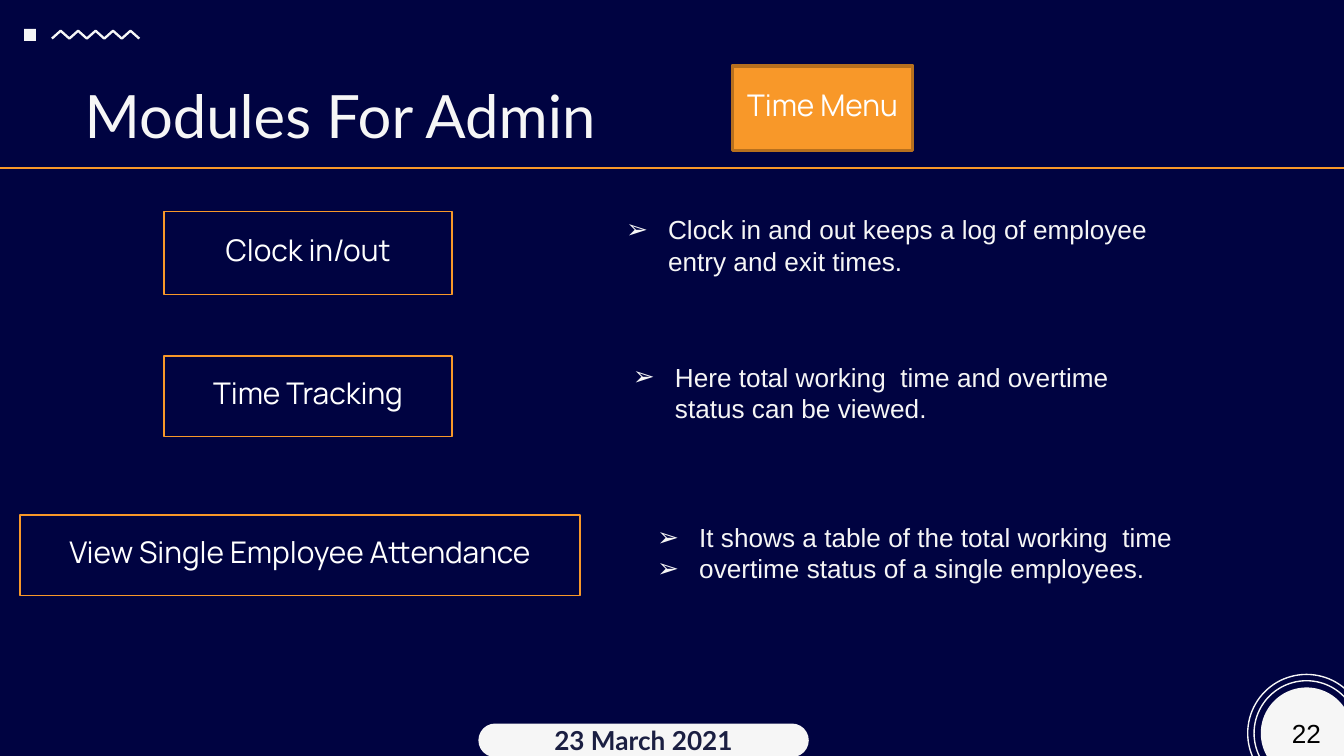
"""Build the time menu slide of the admin modules."""
import pptx
import pptx.dml.color
import pptx.enum.shapes
import pptx.enum.text
import pptx.oxml
import pptx.oxml.ns
import pptx.util

Pt = pptx.util.Pt
SHAPE = pptx.enum.shapes.MSO_SHAPE
ALIGN = pptx.enum.text.PP_ALIGN
ANCHOR = pptx.enum.text.MSO_ANCHOR
NS = pptx.oxml.ns.nsdecls("a")

NAVY, ORANGE, BROWN = "000341", "F89829", "B7701E"
PALE, WHITE, BLACK, INK = "F6F6F6", "FFFFFF", "000000", "1B1F42"


def rgb(color):
    return pptx.dml.color.RGBColor.from_string(color)


class SlideBuilder:
    def __init__(self, prs):
        self.slide = prs.slides.add_slide(prs.slide_layouts[6])
        self.shapes = self.slide.shapes
        fill = self.slide.background.fill
        fill.solid()
        fill.fore_color.rgb = rgb(NAVY)

    def paint(self, sp, fill=None, line=None, width=0.75):
        sp.shadow.inherit = False
        if fill:
            sp.fill.solid()
            sp.fill.fore_color.rgb = rgb(fill)
        else:
            sp.fill.background()
        if line:
            sp.line.color.rgb = rgb(line)
            sp.line.width = Pt(width)
        else:
            sp.line.fill.background()

    def run(self, p, text, size, font, color, bold=False):
        r = p.add_run()
        r.text = text
        r.font.size = Pt(size)
        r.font.name = font
        r.font.bold = bold
        r.font.color.rgb = rgb(color)

    def shape(self, kind, box, fill=None, line=None, width=0.75):
        sp = self.shapes.add_shape(kind, *map(Pt, box))
        self.paint(sp, fill, line, width)
        return sp

    def label(self, sp, text, size, font, color, bold=False, spacing=1.0, inset=7.2):
        tf = sp.text_frame
        tf.word_wrap = True
        tf.vertical_anchor = ANCHOR.MIDDLE
        tf.margin_left = tf.margin_right = Pt(inset)
        tf.margin_top = tf.margin_bottom = Pt(inset)
        p = tf.paragraphs[0]
        p.alignment = ALIGN.CENTER
        p.line_spacing = spacing
        self.run(p, text, size, font, color, bold)

    def module(self, text, box, fill=None, line=ORANGE, width=0.75):
        sp = self.shape(SHAPE.RECTANGLE, box, fill, line, width)
        self.label(sp, text, 16, "Manrope", WHITE, spacing=0.8)

    def title(self, text, box):
        tf = self.shapes.add_textbox(*map(Pt, box)).text_frame
        tf.word_wrap = True
        tf.margin_top = Pt(7.2)
        self.run(tf.paragraphs[0], text, 32, "Lato", PALE)

    def bullets(self, items, box):
        tf = self.shapes.add_textbox(*map(Pt, box)).text_frame
        tf.word_wrap = True
        for i, text in enumerate(items):
            p = tf.add_paragraph() if i else tf.paragraphs[0]
            self.run(p, text, 14, "Arial", PALE)
            pPr = p._p.get_or_add_pPr()
            pPr.set("marL", str(Pt(22.5)))
            pPr.set("indent", str(-Pt(22.5)))
            for xml in (
                f'<a:buClr {NS}><a:srgbClr val="{PALE}"/></a:buClr>',
                f'<a:buFont {NS} typeface="Arial"/>',
                f'<a:buChar {NS} char="➢"/>',
            ):
                pPr.append(pptx.oxml.parse_xml(xml))

    def rule(self, x1, x2, y):
        line = self.shapes.add_connector(
            pptx.enum.shapes.MSO_CONNECTOR.STRAIGHT, Pt(x1), Pt(y), Pt(x2), Pt(y)
        )
        line.line.color.rgb = rgb(ORANGE)
        line.line.width = Pt(1.5)
        line._element.spPr.append(pptx.oxml.parse_xml(f"<a:effectLst {NS}/>"))

    def zigzag(self, left, step, count, low, high):
        points = [(Pt(left + i * step), Pt(high if i % 2 else low)) for i in range(count)]
        builder = self.shapes.build_freeform(*points[0])
        builder.add_line_segments(points[1:], close=False)
        self.paint(builder.convert_to_shape(), line=PALE, width=1.25)

    def circle(self, cx, cy, size, fill=None, line=None):
        box = (cx - size / 2, cy - size / 2, size, size)
        return self.shape(SHAPE.OVAL, box, fill, line, 0.75)


def main():
    prs = pptx.Presentation()
    prs.slide_width, prs.slide_height = Pt(720), Pt(405)
    s = SlideBuilder(prs)

    s.shape(SHAPE.RECTANGLE, (12.9, 15.5, 6.4, 6.4), PALE)
    s.zigzag(left=27.8, step=4.68, count=11, low=20.7, high=16.5)
    s.rule(0, 720, 90)
    s.title("Modules For Admin", (38.2, 35.3, 343.4, 45.4))
    s.module("Time Menu", (392.4, 35.3, 96.5, 45.4), ORANGE, BROWN, 2)

    rows = [
        ("Clock in/out", (87.9, 113.2, 154.3, 44.6), (328.3, 110.9),
         ["Clock in and out keeps a log of employee entry and exit times."]),
        ("Time Tracking", (87.9, 190.7, 154.3, 43.2), (332, 190),
         ["Here total working  time and overtime status can be viewed."]),
        ("View Single Employee Attendance", (10.8, 275.9, 299.9, 43.2), (345, 275.8),
         ["It shows a table of the total working  time",
          "overtime status of a single employees."]),
    ]
    for name, box, corner, notes in rows:
        s.module(name, box)
        s.bullets(notes, (*corner, 306, 41))

    cx, cy = 699.9, 392.8
    for size in (63, 56.2):
        s.circle(cx, cy, size, line=PALE)
    number = s.circle(cx, cy, 49, fill=PALE)
    s.label(number, "22", 14, "Arial", BLACK, inset=0)

    date = s.shape(SHAPE.ROUNDED_RECTANGLE, (256.3, 387.6, 177, 18), PALE)
    date.adjustments[0] = 0.5
    s.label(date, "23 March 2021", 14, "Lato", INK, bold=True)

    prs.save("out.pptx")


if __name__ == "__main__":
    main()
